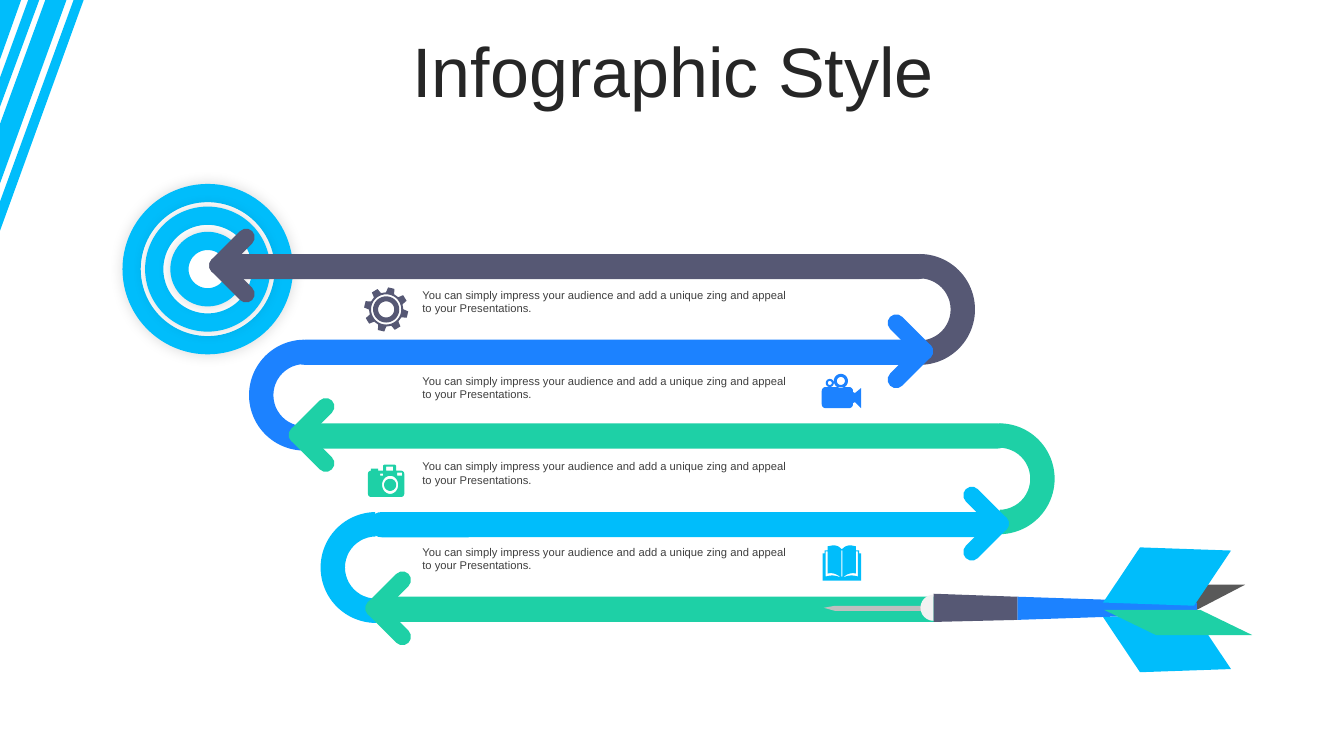
from dataclasses import dataclass
from math import cos, radians, sin

from lxml.etree import SubElement
from pptx import Presentation
from pptx.dml.color import RGBColor
from pptx.enum.shapes import MSO_SHAPE as Preset
from pptx.enum.text import MSO_ANCHOR, MSO_AUTO_SIZE, PP_ALIGN
from pptx.oxml.ns import qn
from pptx.util import Inches, Pt


@dataclass(frozen=True)
class Theme:
    font: str = "Arial"
    title_size: int = 50
    body_size: int = 8
    title: str = "262626"
    body: str = "3F3F3F"
    white: str = "FFFFFF"
    sky: str = "00BDFB"
    slate: str = "565874"
    blue: str = "1C82FF"
    green: str = "1ED0A6"
    pale: str = "F2F2F2"
    silver: str = "BFBFBF"
    gray: str = "595959"


@dataclass(frozen=True)
class Ribbon:
    color: str
    left: float
    right: float
    top: float
    tip: float
    points_left: bool
    bend: float | None = None


THEME = Theme()
BAND = 0.25
MESSAGE = "You can simply impress your audience and add a unique zing and appeal to your Presentations."
RIBBONS = (
    Ribbon(THEME.slate, 2.14, 9.23, 2.52, 2.3, True, 8.57),
    Ribbon(THEME.blue, 2.9, 9.2, 3.37, 9.03, False, 2.47),
    Ribbon(THEME.green, 2.93, 10.02, 4.2, 3.09, True, 9.36),
    Ribbon(THEME.sky, 3.66, 9.96, 5.08, 9.78, False, 3.18),
    Ribbon(THEME.green, 3.8, 9.29, 5.92, 3.85, True),
)


def paint(shape, color):
    shape.shadow.inherit = False
    shape.fill.solid()
    shape.fill.fore_color.rgb = RGBColor.from_string(color)
    shape.line.fill.background()
    return shape


def add_preset(shapes, preset, box, color, rotation=0, adjustments=(), flip=False):
    shape = paint(shapes.add_shape(preset, *map(Inches, box)), color)
    shape.rotation = rotation
    for index, value in enumerate(adjustments):
        shape.adjustments[index] = value
    if flip:
        shape._element.spPr.get_or_add_xfrm().set("flipH", "1")
    return shape


def add_outline(shapes, contours, color):
    scaled = [[(Inches(x), Inches(y)) for x, y in contour] for contour in contours]
    builder = shapes.build_freeform(*scaled[0][0])
    for index, (start, *others) in enumerate(scaled):
        if index:
            builder.move_to(*start)
        builder.add_line_segments(others, close=True)
    return paint(builder.convert_to_shape(), color)


def arc(x, y, radius_x, radius_y, start=0, end=360, steps=36):
    angles = [radians(start + (end - start) * step / steps) for step in range(steps + 1)]
    return [(x + radius_x * cos(angle), y + radius_y * sin(angle)) for angle in angles]


def corner(x, y, radius, start):
    return arc(x, y, radius, radius, start, start + 90, 6)


def curve(*controls):
    def blend(axis, t):
        a, b, c, d = (point[axis] for point in controls)
        return a * (1 - t) ** 3 + 3 * b * t * (1 - t) ** 2 + 3 * c * t * t * (1 - t) + d * t ** 3
    return [(blend(0, step / 8), blend(1, step / 8)) for step in range(9)]


def gear():
    x, y = 3.83, 3.07
    teeth = []
    for tooth in range(8):
        for offset, radius in ((-14, 0.17), (-8.5, 0.22), (8.5, 0.22), (14, 0.17)):
            angle = radians(45 * tooth - 76.5 + offset)
            teeth.append((x + radius * cos(angle), y + radius * sin(angle)))
    return [teeth] + [arc(x, y, radius, radius) for radius in (0.15, 0.13, 0.08)]


def video_camera():
    body = (corner(8.42, 3.88, 0.04, -90)
            + [(8.46, 3.89), (8.48, 3.9), (8.54, 3.85), (8.54, 4.05), (8.48, 3.99), (8.46, 4)]
            + corner(8.42, 4.01, 0.04, 0) + corner(8.19, 4.01, 0.04, 90) + corner(8.19, 3.88, 0.04, 180))
    reels = ((8.34, 3.78, 0.07), (8.34, 3.78, 0.04), (8.23, 3.8, 0.04), (8.23, 3.8, 0.02))
    return [body] + [arc(x, y, radius, radius) for x, y, radius in reels]


def photo_camera():
    body = ([(3.81, 4.61), (3.92, 4.61), (3.93, 4.62), (3.93, 4.67)]
            + corner(3.98, 4.7, 0.03, -90) + corner(3.98, 4.9, 0.03, 0)
            + corner(3.68, 4.9, 0.03, 90) + corner(3.68, 4.7, 0.03, 180)
            + [(3.68, 4.65), (3.75, 4.65), (3.75, 4.67), (3.8, 4.67), (3.8, 4.62)])
    windows = ((3.77, 4.7, 3.8, 4.72), (3.94, 4.69, 3.99, 4.72), (3.83, 4.63, 3.9, 4.67))
    return [body, arc(3.87, 4.81, 0.08, 0.09), arc(3.87, 4.81, 0.06, 0.06)] + [
        [(left, top), (right, top), (right, bottom), (left, bottom)]
        for left, top, right, bottom in windows]


def book():
    spine = 8.35
    def mirror(points):
        return [(2 * spine - x, y) for x, y in reversed(points)]
    cover = (curve((spine, 5.45), (8.38, 5.42), (8.4, 5.41), (8.44, 5.41))
             + [(8.49, 5.42), (8.49, 5.46), (8.52, 5.46), (8.52, 5.49), (8.54, 5.49), (8.54, 5.76)])
    slit = (curve((8.36, 5.73), (8.41, 5.71), (8.44, 5.7), (8.51, 5.72))
            + [(8.51, 5.47), (8.49, 5.47)]
            + curve((8.49, 5.69), (8.45, 5.68), (8.4, 5.69), (8.36, 5.73)))
    fold = [(8.345, 5.46), (8.355, 5.46), (8.355, 5.72), (8.345, 5.72)]
    return [cover + mirror(cover), slit, mirror(slit), fold]


def style_text(frame, text, size, color):
    frame.word_wrap = True
    paragraph = frame.paragraphs[0]
    paragraph.text = text
    paragraph.font.name = THEME.font
    paragraph.font.size = Pt(size)
    paragraph.font.color.rgb = RGBColor.from_string(color)
    return paragraph


def add_title(slide, text):
    title = slide.shapes.title
    title.left, title.top, title.width, title.height = map(Inches, (0.35, 0.37, 12.66, 0.79))
    frame = title.text_frame
    frame.auto_size = MSO_AUTO_SIZE.NONE
    frame.vertical_anchor = MSO_ANCHOR.MIDDLE
    paragraph = style_text(frame, text, THEME.title_size, THEME.title)
    paragraph.alignment = PP_ALIGN.CENTER
    paragraph.line_spacing = 0.8


def add_message(slide, top):
    frame = slide.shapes.add_textbox(*map(Inches, (4.09, top, 3.89, 0.37))).text_frame
    frame.auto_size = MSO_AUTO_SIZE.SHAPE_TO_FIT_TEXT
    style_text(frame, MESSAGE, THEME.body_size, THEME.body)


def add_target(shapes, x, y):
    for size in (1.51, 1.06, 0.56):
        ring = add_preset(shapes, Preset.OVAL, (x - size / 2, y - size / 2, size, size), THEME.white)
        ring.line.color.rgb = RGBColor.from_string(THEME.sky)
        ring.line.width = Pt(13)
        effects = ring._element.spPr.find(qn("a:effectLst"))
        shadow = SubElement(effects, qn("a:outerShdw"), blurRad=str(Pt(10)), algn="ctr", rotWithShape="0")
        color = SubElement(shadow, qn("a:srgbClr"), val="000000")
        SubElement(color, qn("a:alpha"), val="15000")


def add_ribbon(shapes, ribbon):
    if ribbon.bend is not None:
        add_preset(shapes, Preset.BLOCK_ARC, (ribbon.bend, ribbon.top, 1.1, 1.1), ribbon.color,
                   90 if ribbon.points_left else 270, (108, 215.47, 0.22))
    rounding = 0 if ribbon.bend is None else 0.5
    add_preset(shapes, Preset.ROUNDED_RECTANGLE, (ribbon.left, ribbon.top, ribbon.right - ribbon.left, BAND),
               ribbon.color, adjustments=(rounding,))
    width, height = 0.17, 0.57
    middle = ribbon.top + BAND / 2 - 0.01
    for side in (1, -1):
        box = (ribbon.tip - width / 2, middle + side * 0.14 - height / 2, width, height)
        add_preset(shapes, Preset.ROUNDED_RECTANGLE, box, ribbon.color,
                   -45 * side if ribbon.points_left else 45 * side, (0.5,))


def add_dart(shapes):
    add_preset(shapes, Preset.PARALLELOGRAM, (10.94, 5.8, 1.41, 0.25), THEME.gray, adjustments=(1.92,))
    add_outline(shapes, [[(8.17, 6.03), (8.28, 6.01), (9.18, 6.01), (9.18, 6.06), (8.28, 6.06)]], THEME.silver)
    add_outline(shapes, [[(10.09, 5.92), (11.87, 5.98), (11.87, 6.09), (10.09, 6.15)]], THEME.blue)
    add_preset(shapes, Preset.CHORD, (9.13, 5.9, 0.26, 0.26), THEME.pale, adjustments=(53.91, 162))
    add_outline(shapes, [[(9.26, 5.89), (10.09, 5.92), (10.09, 6.15), (9.26, 6.17)]], THEME.slate)
    for top, rotation, flip in ((6.1, -2, True), (5.44, 2, False)):
        add_preset(shapes, Preset.PARALLELOGRAM, (10.95, top, 1.25, 0.56), THEME.sky, rotation, (0.62,), flip)
    add_preset(shapes, Preset.PARALLELOGRAM, (10.95, 6.05, 1.47, 0.25), THEME.green,
               adjustments=(2.06,), flip=True)


def main():
    presentation = Presentation()
    presentation.slide_width, presentation.slide_height = Inches(13.33), Inches(7.5)
    slide = presentation.slides.add_slide(presentation.slide_layouts[5])
    add_outline(slide.shapes, [
        [(0.73, 0), (0.83, 0), (0, 2.29), (0, 2)],
        [(0.39, 0), (0, 1.06), (0, 0.77), (0.28, 0)],
        [(0.66, 0), (0, 1.82), (0, 1.23), (0.45, 0)],
        [(0, 0), (0.21, 0), (0, 0.59)],
    ], THEME.sky)
    add_title(slide, "Infographic Style")
    add_target(slide.shapes.add_group_shape().shapes, 2.06, 2.67)
    for icon, color in ((gear(), THEME.slate), (photo_camera(), THEME.green),
                        (video_camera(), THEME.blue), (book(), THEME.sky)):
        add_outline(slide.shapes, icon, color)
    for ribbon in RIBBONS:
        add_ribbon(slide.shapes.add_group_shape().shapes, ribbon)
    add_dart(slide.shapes.add_group_shape().shapes)
    for row in range(4):
        add_message(slide, 2.81 + 0.85 * row)
    presentation.save("out.pptx")


if __name__ == "__main__":
    main()
